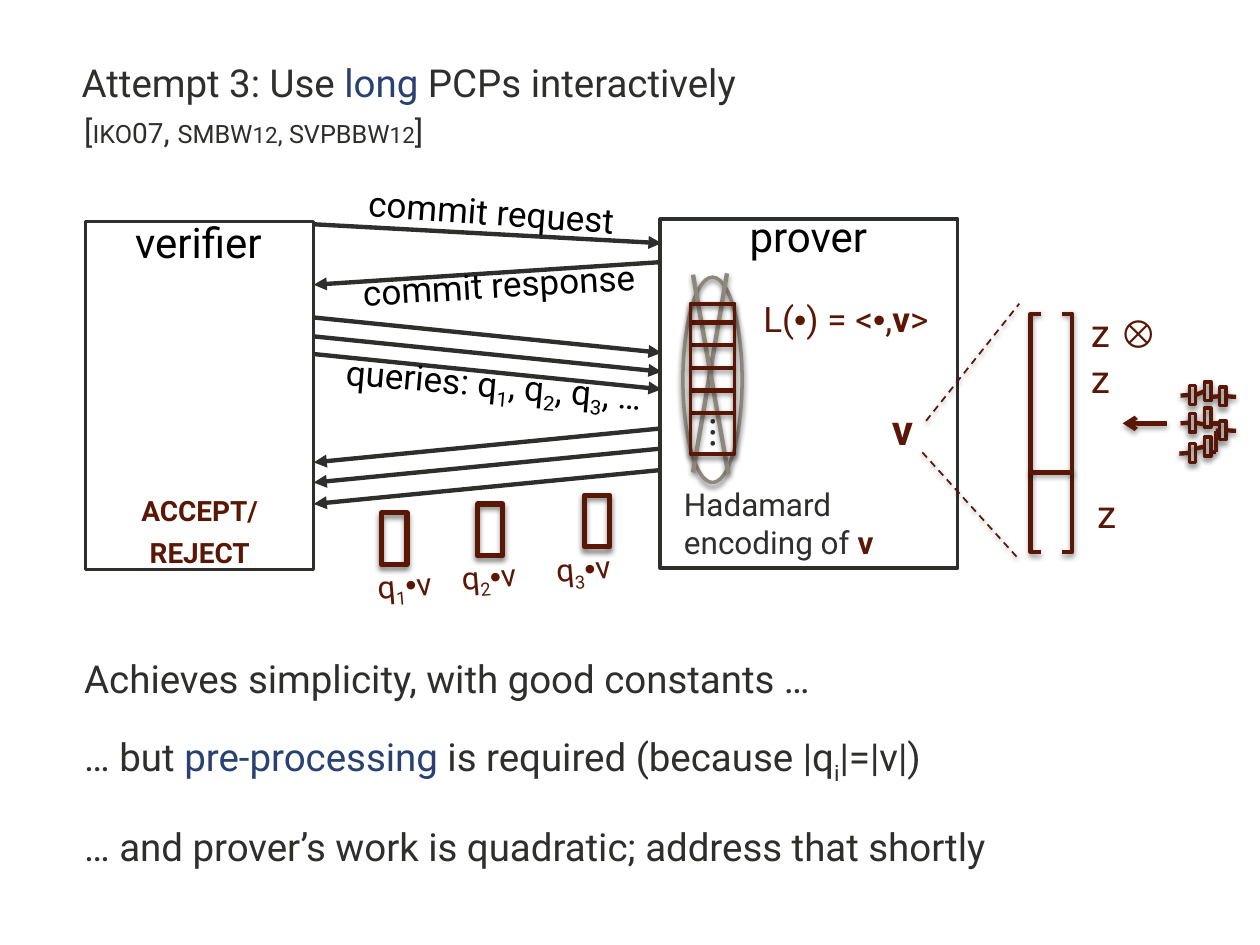
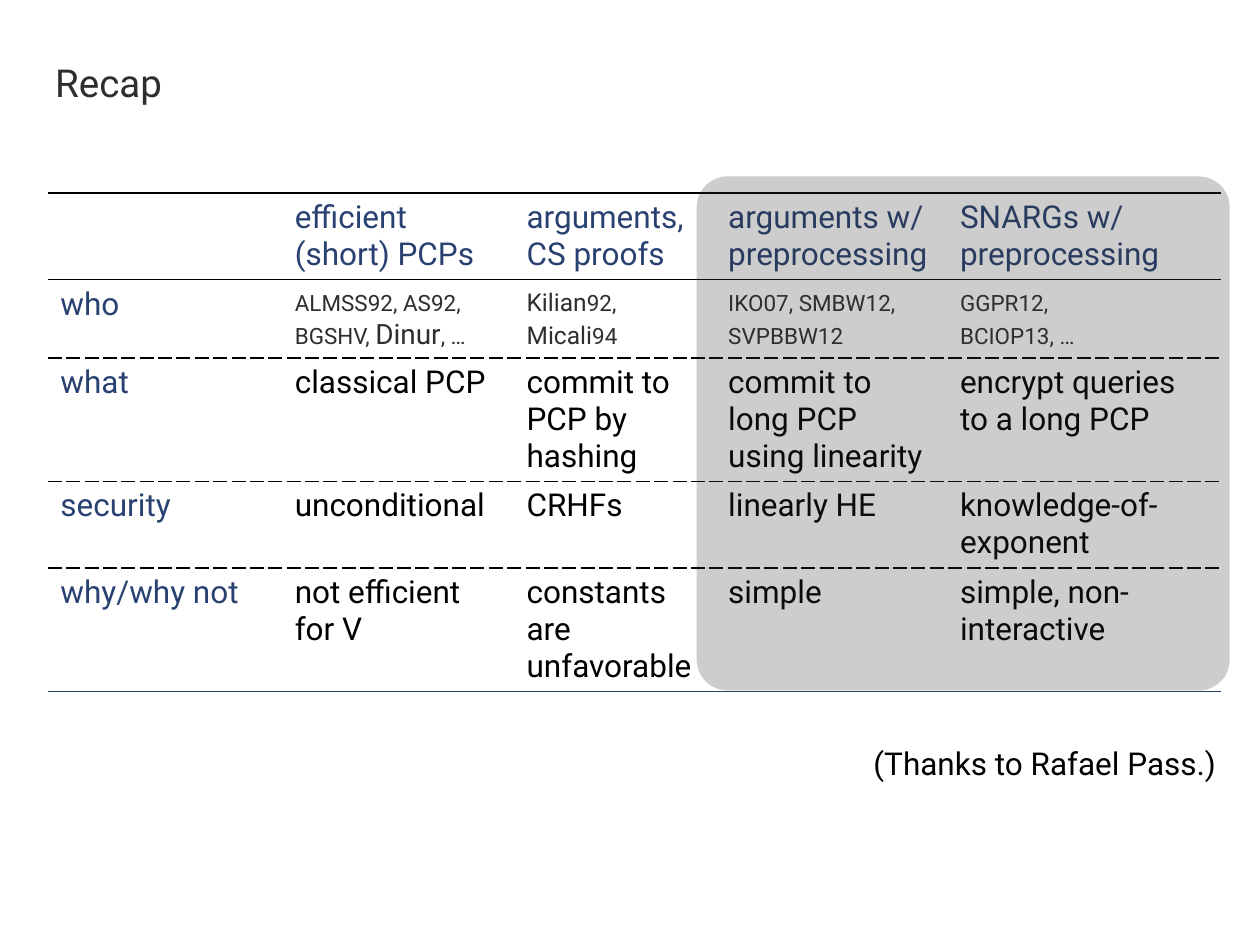
from dataclasses import dataclass
from math import hypot

from lxml import etree
from pptx import Presentation
from pptx.dml.color import RGBColor
from pptx.enum import dml, shapes, text
from pptx.oxml import ns
from pptx.util import Inches, Pt


@dataclass(frozen=True)
class Theme:
    """Colours, fonts and type sizes shared by the slides."""
    ink: str = "2D2F2B"
    black: str = "000000"
    accent: str = "294171"
    maroon: str = "5A1705"
    gray: str = "8E887C"
    font: str = "Roboto"
    bullet_font: str = "Arial"
    symbol_font: str = "Arial Narrow"
    title: int = 22
    role: int = 24
    message: int = 20
    label: int = 18
    citation: int = 16
    author: int = 14


THEME = Theme()
SHAPE_SHADOW = (50, 3, 2)
LINE_SHADOW = (38, 3.1, 1.6)
RECTANGLE = shapes.MSO_SHAPE.RECTANGLE
CENTER = text.PP_ALIGN.CENTER


def color(value):
    """Turn a hex string into a colour."""
    return RGBColor.from_string(value)


def child(parent, tag, **attributes):
    """Append a DrawingML element."""
    return etree.SubElement(parent, ns.qn(f"a:{tag}"), {k: str(v) for k, v in attributes.items()})


def add_shadow(effects, shadow):
    """Put a soft downward shadow into an effect list."""
    alpha, blur, distance = shadow
    outer = child(effects, "outerShdw", blurRad=Pt(blur), dist=Pt(distance), dir=5400000, rotWithShape=0)
    child(child(outer, "srgbClr", val=THEME.black), "alpha", val=alpha * 1000)


def piece(content, **style):
    """Describe one run of text by its content and its own style."""
    return content, style


def write_runs(paragraph, pieces, **defaults):
    """Fill a paragraph with runs, each overriding the defaults."""
    for content, style in [piece(pieces)] if isinstance(pieces, str) else pieces:
        look = {"size": THEME.label, "ink": THEME.ink, "font": THEME.font, **defaults, **style}
        run = paragraph.add_run()
        run.text = content
        run.font.size = Pt(look["size"])
        run.font.name = look["font"]
        run.font.bold = look.get("bold", False)
        run.font.color.rgb = color(look["ink"])
        properties = run.font._element
        if look.get("small"):
            properties.set("cap", "small")
        if look.get("sub"):
            properties.set("baseline", "-25000")


def add_text(slide, box, pieces, align=text.PP_ALIGN.LEFT, rotation=0, **defaults):
    """Add a wrapping one-paragraph text box."""
    shape = slide.shapes.add_textbox(*map(Inches, box))
    shape.rotation = rotation
    shape.text_frame.word_wrap = True
    paragraph = shape.text_frame.paragraphs[0]
    paragraph.alignment = align
    write_runs(paragraph, pieces, **defaults)
    return shape


def add_title(slide, left, pieces):
    """Add the slide title."""
    add_text(slide, (left, 0.42, 9.34, 0.7), pieces, size=THEME.title)


def add_outline(slide, kind, box, ink, width, shadow=None):
    """Add an unfilled preset shape."""
    shape = slide.shapes.add_shape(kind, *map(Inches, box))
    shape.shadow.inherit = False
    shape.fill.background()
    shape.line.color.rgb = color(ink)
    shape.line.width = Pt(width)
    if shadow:
        add_shadow(shape._element.spPr.find(ns.qn("a:effectLst")), shadow)
    return shape


def add_line(slide, start, end, ink, width=2.5, head=None, dashed=False, shadow=LINE_SHADOW):
    """Add a straight connector, with an arrowhead at its end if asked."""
    connector = slide.shapes.add_connector(shapes.MSO_CONNECTOR.STRAIGHT, *map(Inches, (*start, *end)))
    connector.line.color.rgb = color(ink)
    connector.line.width = Pt(width)
    if dashed:
        connector.line.dash_style = dml.MSO_LINE.DASH
    if head:
        child(connector.line._get_or_add_ln(), "tailEnd", type=head)
    effects = child(connector._element.spPr, "effectLst")
    if shadow:
        add_shadow(effects, shadow)
    return connector


def join_to_sides(connector, start, end, rectangles):
    """Attach the ends of a connector that meet the middle of a side."""
    for connect, (x, y) in ((connector.begin_connect, start), (connector.end_connect, end)):
        for shape in rectangles:
            middle = shape.top + shape.height / 2
            for site, edge in ((1, shape.left), (3, shape.left + shape.width)):
                if hypot(Inches(x) - edge, Inches(y) - middle) < Inches(0.02):
                    connect(shape, site)


def add_messages(slide):
    """Draw the arrows and captions between verifier and prover."""
    left, right = 2.49, 5.25
    arrows = [((left, 1.78), (right, 1.93)), ((right, 2.08), (left, 2.26))]
    arrows += [((left, y), (right, y + 0.28)) for y in (2.52, 2.67, 2.81)]
    arrows += [((right, y), (left, y + 0.27)) for y in (3.4, 3.56, 3.73)]
    for start, end in arrows:
        add_line(slide, start, end, THEME.ink, head="triangle", shadow=None)
    queries = [piece("queries: q"), piece("1", sub=True), piece(", q"), piece("2", sub=True),
               piece(", q"), piece("3", sub=True), piece(", …")]
    for box, caption, rotation in (((2.15, 1.46, 3.5, 0.44), "commit request", 4.1),
                                   ((2.21, 2.04, 3.5, 0.44), "commit response", 356.6),
                                   ((2.27, 2.83, 3.3, 0.44), queries, 4.9)):
        add_text(slide, box, caption, CENTER, rotation, size=THEME.message, ink=THEME.black)


def add_answers(slide):
    """Draw the answer boxes and the products below them."""
    answers = ((3.03, 4.07, 3.21, 4.64), (3.79, 4, 3.88, 4.57), (4.64, 3.93, 4.63, 4.51))
    for number, (left, top, center, middle) in enumerate(answers, 1):
        add_outline(slide, RECTANGLE, (left, top, 0.2, 0.41), THEME.maroon, 3, SHAPE_SHADOW)
        product = [piece("q"), piece(str(number), sub=True), piece("•", font=THEME.bullet_font), piece("v")]
        add_text(slide, (center - 0.4, middle - 0.2, 0.8, 0.4), product, CENTER, 355.2, ink=THEME.maroon)


def add_parties(slide):
    """Draw the verifier and the prover with their captions."""
    add_outline(slide, RECTANGLE, (5.24, 1.74, 2.36, 2.77), THEME.ink, 2)
    add_outline(slide, RECTANGLE, (0.68, 1.76, 1.81, 2.76), THEME.ink, 2)
    for box, role in (((5.24, 1.62, 2.35, 0.5), "prover"), ((0.67, 1.67, 1.81, 0.5), "verifier")):
        add_text(slide, box, role, CENTER, size=THEME.role, ink=THEME.black)
    add_text(slide, (0.68, 3.81, 1.81, 0.71), "accept/reject", CENTER,
             size=THEME.message, ink=THEME.maroon, bold=True, small=True)
    dot = piece("•", font=THEME.bullet_font)
    add_text(slide, (5.96, 2.31, 2.2, 0.44),
             [piece("L("), dot, piece(") = <"), dot, piece(","), piece("v", bold=True), piece(">")],
             size=THEME.message, ink=THEME.maroon)
    add_text(slide, (5.33, 3.8, 2.19, 0.65),
             [piece("Hadamard encoding of "), piece("v", ink=THEME.maroon, bold=True)])


def add_encoding(slide):
    """Draw the crossed-out column of the long proof."""
    add_outline(slide, shapes.MSO_SHAPE.OVAL, (5.42, 2.2, 0.47, 1.63), THEME.gray, 2, SHAPE_SHADOW)
    for start, end in (((5.77, 2.17), (5.5, 3.75)), ((5.78, 3.76), (5.5, 2.18))):
        add_line(slide, start, end, THEME.gray)
    for row in range(5):
        y = 2.56 + row * 0.18
        add_line(slide, (5.82, y), (5.48, y), THEME.maroon)
    add_text(slide, (5.46, 3.2, 0.56, 0.57), "...", rotation=90, size=THEME.role)
    add_outline(slide, RECTANGLE, (5.48, 2.41, 0.35, 1.19), THEME.maroon, 2.25, SHAPE_SHADOW)


def add_vector(slide):
    """Draw the vector v unfolded into its two bracketed parts."""
    for kind, left in ((shapes.MSO_SHAPE.LEFT_BRACKET, 8.18), (shapes.MSO_SHAPE.RIGHT_BRACKET, 8.43)):
        bracket = add_outline(slide, kind, (left, 2.49, 0.08, 1.89), THEME.maroon, 2.5, LINE_SHADOW)
        bracket.adjustments[0] = 0
    add_line(slide, (8.52, 3.75), (8.17, 3.75), THEME.maroon)
    add_line(slide, (9.26, 3.36), (8.91, 3.36), THEME.maroon, head="arrow")
    for start, end in (((7.35, 3.34), (8.09, 2.41)), ((7.32, 3.59), (8.07, 4.42))):
        add_line(slide, start, end, THEME.maroon, width=1, dashed=True)
    tensor = [piece("z "), piece("⊗ ", font=THEME.symbol_font), piece("z")]
    add_text(slide, (8.56, 2.4, 0.8, 0.47), tensor, size=THEME.title, ink=THEME.maroon)
    add_text(slide, (8.61, 3.84, 0.55, 0.47), "z", size=THEME.title, ink=THEME.maroon)
    add_text(slide, (6.98, 3.15, 0.55, 0.5), "v", size=THEME.role, ink=THEME.maroon, bold=True)


def add_circuit(slide):
    """Draw the small circuit of gates and wires."""
    columns = {9.44: (3.06, 3.28, 3.52), 9.56: (3.03, 3.24, 3.47), 9.68: (3.07, 3.34)}
    gates = [add_outline(slide, RECTANGLE, (x, y, 0.05, 0.15), THEME.maroon, 2, SHAPE_SHADOW)
             for x, tops in columns.items() for y in tops]
    level_wires = ((9.37, 9.44, 3.14), (9.37, 9.44, 3.36), (9.36, 9.44, 3.6), (9.49, 9.56, 3.12),
                   (9.49, 9.56, 3.37), (9.49, 9.56, 3.56), (9.61, 9.68, 3.15), (9.62, 9.68, 3.36),
                   (9.61, 9.65, 3.59), (9.65, 9.68, 3.42), (9.73, 9.81, 3.15), (9.73, 9.81, 3.42))
    wires = [((x1, y), (x2, y)) for x1, x2, y in level_wires] + [((9.65, 3.42), (9.65, 3.59))]
    for start, end in wires:
        join_to_sides(add_line(slide, start, end, THEME.maroon), start, end, gates)


def build_attempt(slide):
    """Build the slide on interactive long PCPs."""
    add_title(slide, 0.55, [piece("Attempt 3: Use "), piece("long", ink=THEME.accent),
                            piece(" PCPs interactively")])
    year = {"size": THEME.citation}
    add_text(slide, (0.57, 0.84, 4.19, 0.4),
             [piece("["), piece("iko", small=True), piece("07", **year), piece(", "),
              piece("smbw", small=True), piece("12", small=True, **year),
              piece(", svpbbw", small=True), piece("12", small=True, **year), piece("]")])
    add_parties(slide)
    add_messages(slide)
    add_answers(slide)
    add_vector(slide)
    add_circuit(slide)
    add_encoding(slide)
    preprocessing = [piece("… but "), piece("pre-processing ", ink=THEME.accent),
                     piece("is required (because |q"), piece("i", sub=True), piece("|=|v|)")]
    for top, remark in ((5.15, "Achieves simplicity, with good constants …"), (5.77, preprocessing),
                        (6.48, "… and prover’s work is quadratic; address that shortly")):
        add_text(slide, (0.57, top, 9.43, 0.6), remark, size=THEME.title)


def set_borders(cell, top, bottom):
    """Rule a cell above and below only, leaving it unfilled."""
    properties = cell._tc.get_or_add_tcPr()
    for side, rule in (("L", None), ("R", None), ("T", top), ("B", bottom)):
        line = child(properties, f"ln{side}", w=Pt(1))
        if rule:
            ink, dash = rule
            child(child(line, "solidFill"), "srgbClr", val=ink)
            child(line, "prstDash", val=dash)
        else:
            child(line, "noFill")
    cell.fill.background()


def add_recap_table(slide):
    """Add the table that compares the four lines of work."""
    def cite(content):
        """Set a citation in small capitals."""
        return piece(content, size=THEME.citation, ink=THEME.ink, small=True)

    def author(content, size=THEME.author):
        """Set an author's name in plain letters."""
        return piece(content, size=size, ink=THEME.ink)

    rows = [
        [[], ["efficient (short) PCPs"], ["arguments,", "CS proofs"],
         ["arguments w/ preprocessing"], ["SNARGs w/ preprocessing"]],
        [["who"], [[cite("almss92, as92, bgshv, "), author("Dinur", THEME.citation), cite(", …")]],
         [[author("Kilian"), cite("92, "), author("Micali"), cite("94")]],
         [[cite("iko07, smbw12, svpbbw12")]], [[cite("ggpr12,")], [cite("bciop13, …")]]],
        [["what"], ["classical PCP"], ["commit to PCP by hashing"],
         ["commit to long PCP using linearity"], ["encrypt queries to a long PCP"]],
        [["security"], ["unconditional"], ["CRHFs"], ["linearly HE"], ["knowledge-of-exponent"]],
        [["why/why not"], ["not efficient", "for V"], ["constants are unfavorable"],
         ["simple"], ["simple, non-interactive"]],
    ]
    widths = (1.86, 1.84, 1.6, 1.84, 2.17)
    heights = (0.69, 0.62, 0.98, 0.69, 0.98)
    solid, dashed = (THEME.black, "solid"), (THEME.black, "dash")
    rules = [solid, solid, dashed, dashed, dashed, (THEME.accent, "solid")]
    box = (0.38, 1.53, sum(widths), sum(heights))
    table = slide.shapes.add_table(len(rows), len(widths), *map(Inches, box)).table
    table.first_row = table.horz_banding = False
    for column, width in zip(table.columns, widths):
        column.width = Inches(width)
    for r, (contents, height) in enumerate(zip(rows, heights)):
        table.rows[r].height = Inches(height)
        for c, paragraphs in enumerate(contents):
            cell = table.cell(r, c)
            set_borders(cell, rules[r], rules[r + 1])
            ink = THEME.accent if r == 0 or c == 0 else THEME.black
            for index, pieces in enumerate(paragraphs):
                frame = cell.text_frame
                write_runs(frame.add_paragraph() if index else frame.paragraphs[0], pieces, ink=ink)


def build_recap(slide):
    """Build the recap slide."""
    add_recap_table(slide)
    add_title(slide, 0.34, "Recap")
    add_text(slide, (6.06, 5.86, 3.69, 0.4), "(Thanks to Rafael Pass.)", text.PP_ALIGN.RIGHT, ink=THEME.black)
    highlight = add_outline(slide, shapes.MSO_SHAPE.ROUNDED_RECTANGLE, (5.53, 1.4, 4.23, 4.08), THEME.ink, 1)
    highlight.adjustments[0] = 0.06
    highlight.line.fill.background()
    highlight.fill.solid()
    highlight.fill.fore_color.rgb = color(THEME.ink)
    child(highlight._element.spPr.find(ns.qn("a:solidFill"))[0], "alpha", val=24000)


def main():
    """Build and save the presentation."""
    presentation = Presentation()
    presentation.slide_width, presentation.slide_height = Inches(10), Inches(7.5)
    for build in (build_attempt, build_recap):
        build(presentation.slides.add_slide(presentation.slide_layouts[6]))
    presentation.save("out.pptx")


if __name__ == "__main__":
    main()
